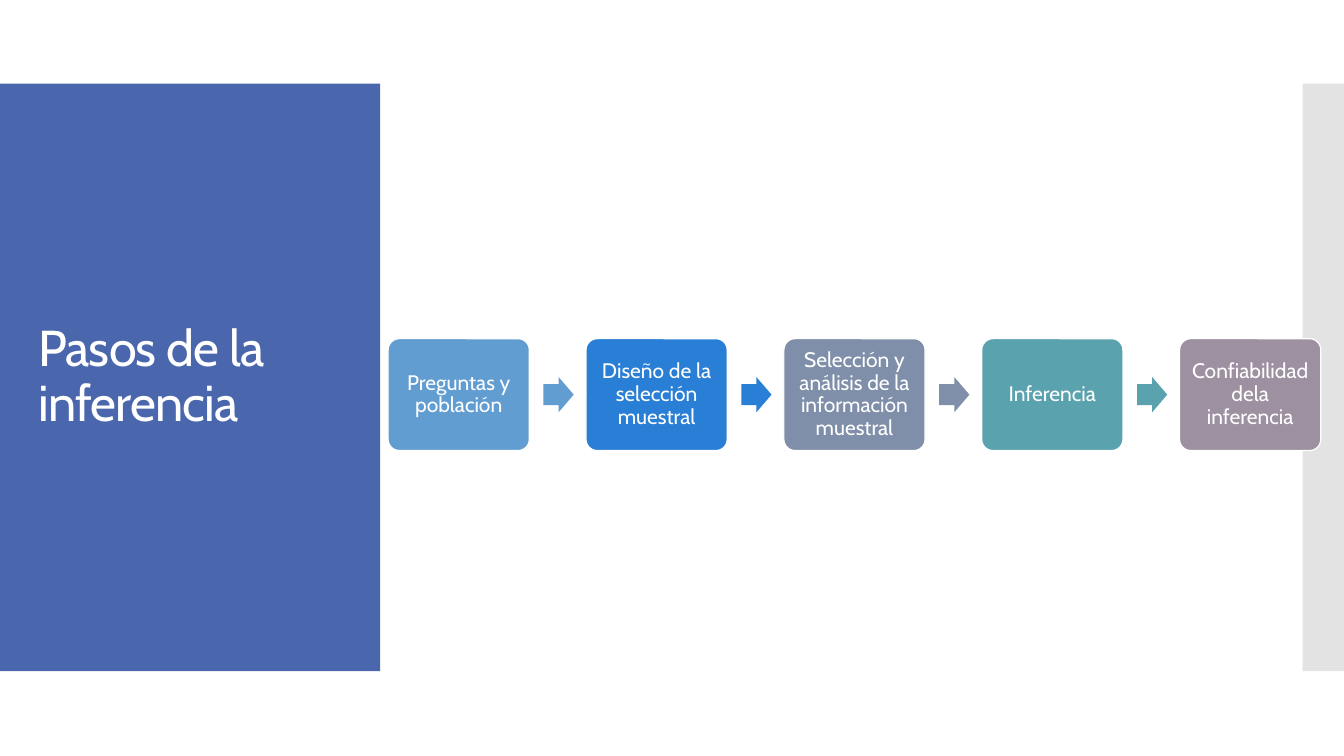
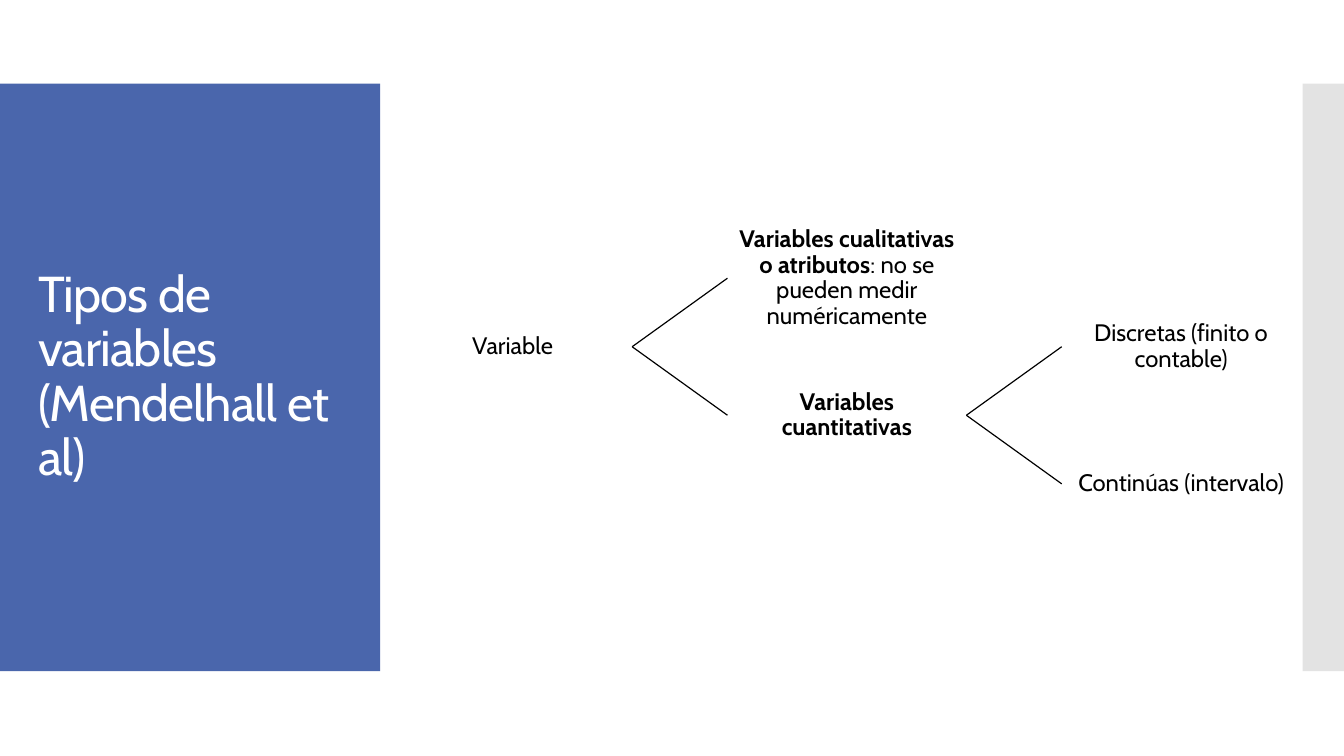
from lxml import etree
from pptx import Presentation
from pptx import util as u
from pptx.dml.color import RGBColor
from pptx.enum import shapes, text
from pptx.oxml.ns import qn

COLOURS = {
    "panel": "4A66AC",
    "edge": "C8C8C8",
    "white": "FFFFFF",
    "black": "000000",
    "sky": "629DD1",
    "blue": "297FD5",
    "slate": "7F8FA9",
    "teal": "5AA2AE",
    "mauve": "9D90A0",
}
FONT = "Cabin"
LINE_WIDTH = u.Pt(0.85)


class Deck:
    """Holds the shared style and the current slide."""

    def __init__(self):
        self.deck = Presentation()
        self.deck.slide_width = u.Inches(13.33)
        self.deck.slide_height = u.Inches(7.5)
        self.page = None

    def colour(self, name):
        return RGBColor.from_string(COLOURS[name])

    def format_text(self, frame, size, colour, align, inset):
        frame.word_wrap = True
        frame.auto_size = text.MSO_AUTO_SIZE.NONE
        frame.vertical_anchor = text.MSO_ANCHOR.MIDDLE
        frame.margin_left = frame.margin_right = u.Inches(inset)
        frame.margin_top = frame.margin_bottom = u.Inches(min(inset, 0.06))
        for para in frame.paragraphs:
            para.alignment = align
            para.line_spacing = 0.9
            for span in para.runs:
                span.font.name = FONT
                span.font.size = u.Pt(size)
                span.font.color.rgb = self.colour(colour)

    def shape(self, kind, left, top, width, height, fill, outline=None):
        shape = self.page.shapes.add_shape(
            kind, u.Inches(left), u.Inches(top), u.Inches(width), u.Inches(height))
        shape.shadow.inherit = False
        shape.fill.solid()
        shape.fill.fore_color.rgb = self.colour(fill)
        if outline:
            shape.line.color.rgb = self.colour(outline)
            shape.line.width = LINE_WIDTH
        else:
            shape.line.fill.background()
        return shape

    def band(self, left, width, fill):
        return self.shape(shapes.MSO_SHAPE.RECTANGLE, left, 0.83, width, 5.83, fill)

    def new_page(self, heading):
        self.page = self.deck.slides.add_slide(self.deck.slide_layouts[5])
        title = self.page.shapes.title
        title.left, title.top = u.Inches(0.28), u.Inches(1.23)
        title.width, title.height = u.Inches(3.22), u.Inches(5.03)
        title.text_frame.text = heading
        self.format_text(title.text_frame, 36, "white", text.PP_ALIGN.LEFT, 0.1)
        for properties in title.element.iter(qn("a:rPr")):
            properties.set("spc", "-60")
        panel = self.band(0, 3.77, "panel")
        edge = self.band(12.92, 0.41, "edge")
        for tint in edge.element.spPr.iter(qn("a:srgbClr")):
            etree.SubElement(tint, qn("a:alpha"), val="50000")
        for band in (panel, edge):
            title.element.addprevious(band.element)

    def box(self, left, top, width, height, spans, size, fill, colour, inset, outline=None):
        box = self.shape(shapes.MSO_SHAPE.ROUNDED_RECTANGLE,
                         left, top, width, height, fill, outline)
        box.adjustments[0] = 0.1
        para = box.text_frame.paragraphs[0]
        for wording, bold in spans:
            span = para.add_run()
            span.text = wording
            span.font.bold = bold
        self.format_text(box.text_frame, size, colour, text.PP_ALIGN.CENTER, inset)
        return box

    def step(self, left, wording, fill):
        self.box(left, 3.36, 1.4, 1.11, [(wording, False)], 15, fill, "white", 0.06, "white")

    def arrow(self, left, fill):
        arrow = self.shape(shapes.MSO_SHAPE.RIGHT_ARROW, left, 3.74, 0.3, 0.35, fill)
        arrow.adjustments[0] = 0.6
        arrow.adjustments[1] = 0.5

    def node(self, column, top, *spans):
        left = 3.9 + 3.315 * column
        return self.box(left, top, 2.37, 1.18, spans, 17, "white", "black", 0.01)

    def branch(self, parent, child):
        line = self.page.shapes.add_connector(shapes.MSO_CONNECTOR.STRAIGHT, 0, 0, 0, 0)
        line.begin_connect(parent, 3)
        line.end_connect(child, 1)
        line.line.color.rgb = self.colour("black")
        line.line.width = LINE_WIDTH
        etree.SubElement(line.element.spPr, qn("a:effectLst"))

    def save(self):
        self.deck.save("out.pptx")


def build_steps(deck):
    deck.new_page("Pasos de la inferencia")
    steps = [
        ("Preguntas y población", "sky"),
        ("Diseño de la selección muestral", "blue"),
        ("Selección y análisis de la información muestral", "slate"),
        ("Inferencia", "teal"),
        ("Confiabilidad dela inferencia", "mauve"),
    ]
    first, last = 3.85, 11.7
    pitch = (last - first) / (len(steps) - 1)
    for index, (wording, fill) in enumerate(steps):
        left = first + index * pitch
        deck.step(left, wording, fill)
        if index < len(steps) - 1:
            deck.arrow(left + 1.54, fill)


def build_variables(deck):
    deck.new_page("Tipos de variables (Mendelhall et al)")
    variable = deck.node(0, 2.85, ("Variable", False))
    qualitative = deck.node(1, 2.17, ("Variables cualitativas o atributos", True),
                            (": no se pueden medir numéricamente", False))
    quantitative = deck.node(1, 3.53, ("Variables cuantitativas", True))
    discrete = deck.node(2, 2.85, ("Discretas (finito o contable)", False))
    continuous = deck.node(2, 4.21, ("Continúas (intervalo)", False))
    for parent, child in [(variable, qualitative), (variable, quantitative),
                          (quantitative, discrete), (quantitative, continuous)]:
        deck.branch(parent, child)


def main():
    deck = Deck()
    build_steps(deck)
    build_variables(deck)
    deck.save()


if __name__ == "__main__":
    main()
